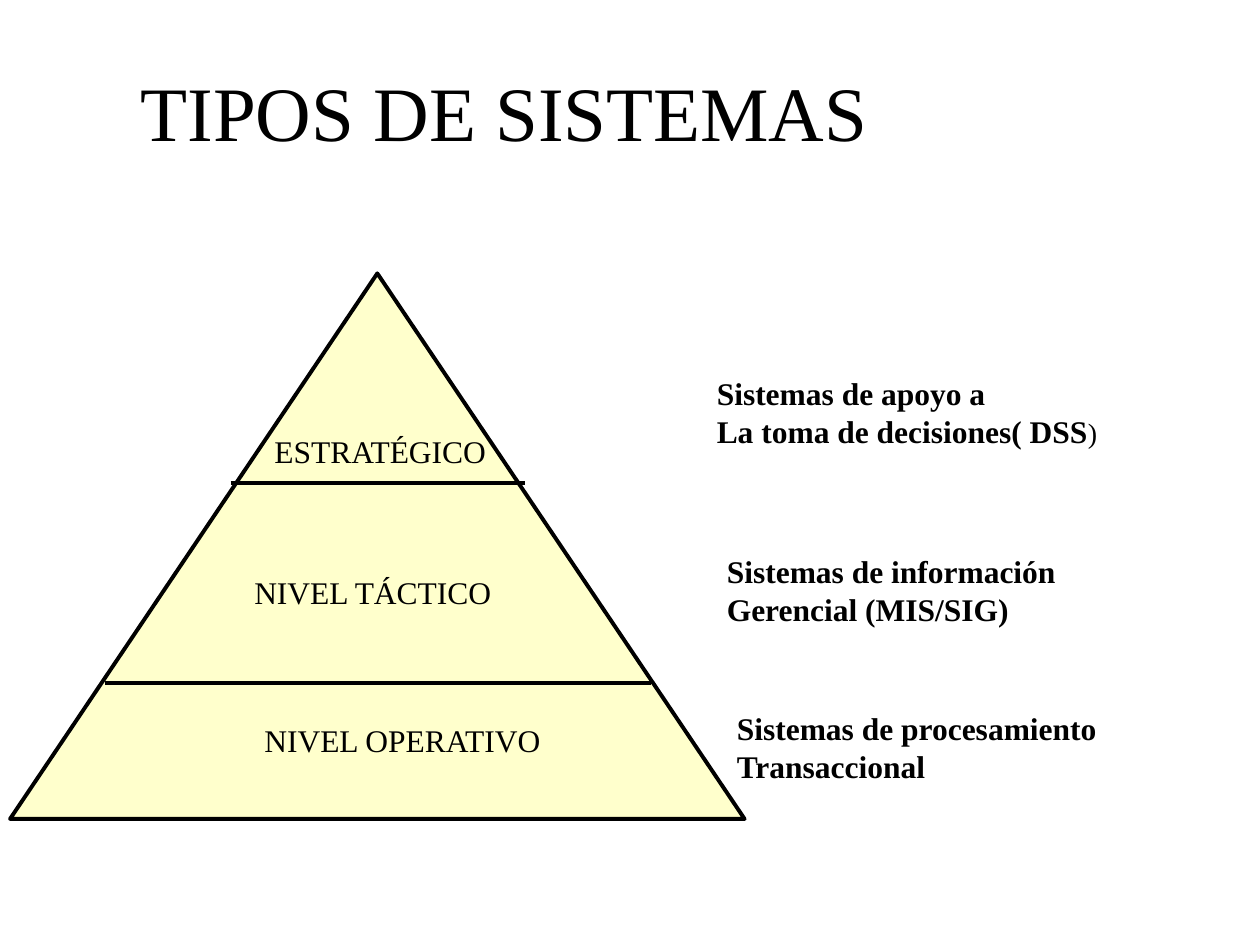
from pptx import Presentation
from pptx.dml.color import RGBColor
from pptx.enum.shapes import MSO_CONNECTOR, MSO_SHAPE
from pptx.enum.text import MSO_ANCHOR, PP_ALIGN
from pptx.oxml.ns import qn
from pptx.util import Inches, Pt
from lxml.etree import SubElement

BLACK = RGBColor(0x00, 0x00, 0x00)
CREAM = RGBColor(0xFF, 0xFF, 0xCC)


class PyramidSlide:
    """Draws the elements of a pyramid slide in one shared style."""

    font = "Times New Roman"
    line_width = Pt(2.25)

    def __init__(self, prs):
        self.s = prs.slides.add_slide(prs.slide_layouts[6])

    def style_run(self, r, size, bold=False):
        r.font.name = self.font
        r.font.size = Pt(size)
        r.font.bold = bold
        r.font.color.rgb = BLACK

    def text(self, text, left, top, width, height, size=18, bold=False, wrap=True):
        box = self.s.shapes.add_textbox(
            Inches(left), Inches(top), Inches(width), Inches(height))
        tf = box.text_frame
        tf.word_wrap = wrap
        tf.text = text
        for p in tf.paragraphs:
            for r in p.runs:
                self.style_run(r, size, bold)
        return tf

    def title(self, text, left, top, width, height):
        tf = self.text(text, left, top, width, height, size=44)
        tf.vertical_anchor = MSO_ANCHOR.MIDDLE
        tf.paragraphs[0].alignment = PP_ALIGN.CENTER

    def triangle(self, left, top, width, height):
        sp = self.s.shapes.add_shape(
            MSO_SHAPE.ISOSCELES_TRIANGLE,
            Inches(left), Inches(top), Inches(width), Inches(height))
        sp.shadow.inherit = False
        sp.fill.solid()
        sp.fill.fore_color.rgb = CREAM
        sp.line.color.rgb = BLACK
        sp.line.width = self.line_width

    def divider(self, left, right, y):
        line = self.s.shapes.add_connector(
            MSO_CONNECTOR.STRAIGHT,
            Inches(left), Inches(y), Inches(right), Inches(y))
        line.line.color.rgb = BLACK
        line.line.width = self.line_width
        SubElement(line._element.spPr, qn("a:effectLst"))


def main():
    prs = Presentation()
    prs.slide_width = Inches(10)
    prs.slide_height = Inches(7.5)
    slide = PyramidSlide(prs)

    slide.title("TIPOS DE SISTEMAS ", 0.62, 0.25, 6.92, 1.25)
    slide.triangle(0.08, 2.17, 5.83, 4.33)
    slide.divider(0.83, 5.17, 5.42)
    slide.divider(1.83, 4.17, 3.83)

    slide.text("NIVEL OPERATIVO", 2, 5.67, 2.43, 0.4, wrap=False)
    slide.text("NIVEL TÁCTICO", 1.92, 4.5, 2.17, 0.4)
    slide.text("ESTRATÉGICO", 2.08, 3.38, 1.93, 0.4)

    support = slide.text("Sistemas de apoyo a\nLa toma de decisiones( DSS",
                         5.59, 2.92, 3.22, 0.7, bold=True, wrap=False)
    r = support.paragraphs[-1].add_run()
    r.text = ")"
    slide.style_run(r, 16)
    slide.text("Sistemas de información\nGerencial (MIS/SIG)",
               5.67, 4.33, 2.81, 0.7, bold=True, wrap=False)
    slide.text("Sistemas de procesamiento\nTransaccional",
               5.75, 5.58, 3.06, 0.7, bold=True, wrap=False)

    prs.save("out.pptx")


if __name__ == "__main__":
    main()
